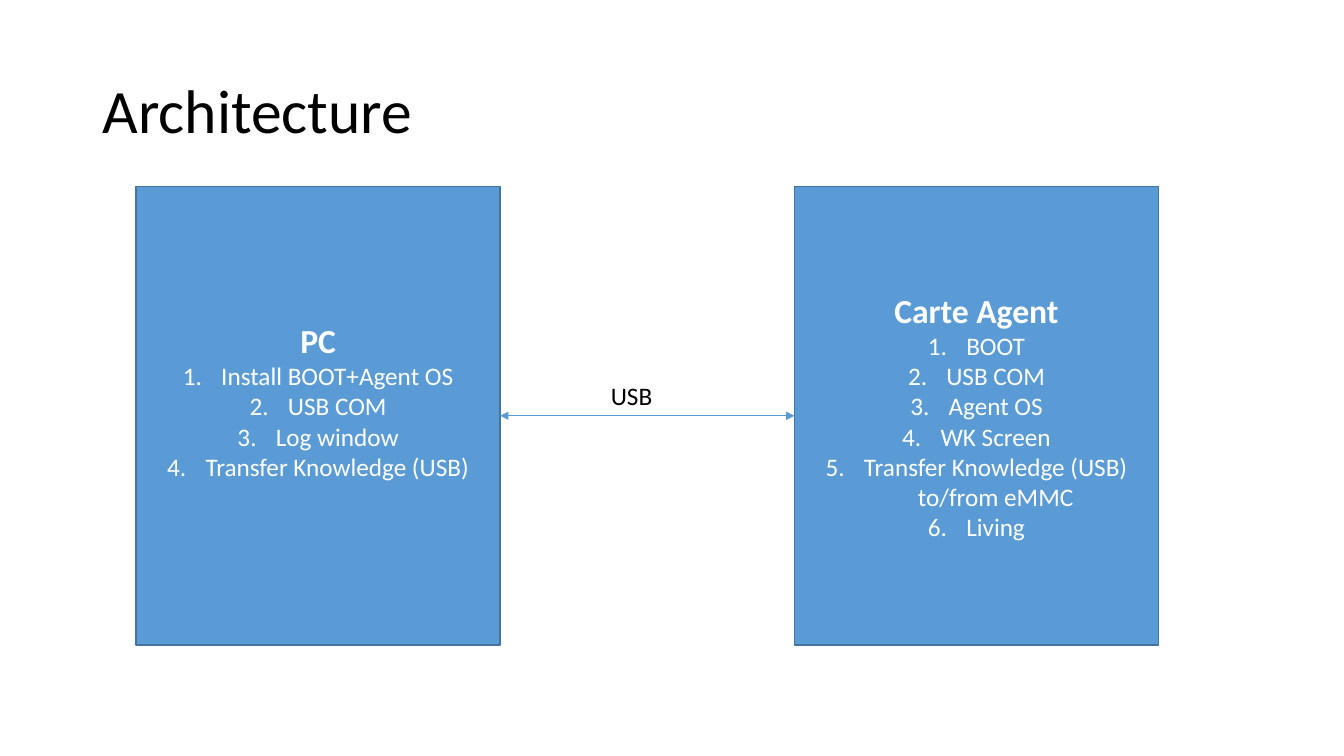
from lxml import etree
from pptx import Presentation
from pptx import util as u
from pptx.dml.color import RGBColor
from pptx.enum import shapes, text
from pptx.oxml import ns

WIDE, HIGH = u.Inches(13.33), u.Inches(7.5)
BLUE = RGBColor(0x5B, 0x9B, 0xD5)
EDGE = RGBColor(0x43, 0x73, 0x9E)
WHITE = RGBColor(255, 255, 255)
BLACK = RGBColor(0, 0, 0)
FONT = "Calibri"

LEFT, TOP = u.Inches(1.35), u.Inches(1.85)
BOX_W, BOX_H = u.Inches(3.61), u.Inches(4.55)
STEP = u.Inches(6.53)
INDENT = u.Inches(0.38)
ROW = u.Inches(0.3)

PC = ["Install BOOT+Agent OS", "USB COM", "Log window",
      "Transfer Knowledge (USB)"]
AGENT = ["BOOT", "USB COM", "Agent OS", "WK Screen",
         "Transfer Knowledge (USB) to/from eMMC", "Living"]


def style(para, size, color, bold=False):
    """Set the font of a whole paragraph."""
    font = para.font
    font.name, font.size, font.bold = FONT, u.Pt(size), bold
    font.color.rgb = color


def number(para):
    """Give a paragraph a hanging automatic number."""
    props = para._p.get_or_add_pPr()
    props.set("marL", str(INDENT))
    props.set("indent", str(-INDENT))
    mark = etree.Element(ns.qn("a:buAutoNum"), type="arabicPeriod")
    props.insert(0, mark)


def label(slide, words, size, area, wrap=True):
    """Add a one-line text box, centred vertically."""
    frame = slide.shapes.add_textbox(*map(u.Inches, area)).text_frame
    frame.word_wrap = wrap
    frame.vertical_anchor = text.MSO_ANCHOR.MIDDLE
    para = frame.paragraphs[0]
    para.text = words
    style(para, size, BLACK)
    return para


def box(slide, col, head, items, lift=0):
    """Add a box with a heading and a numbered list, raised by lift."""
    shape = slide.shapes.add_shape(
        shapes.MSO_SHAPE.RECTANGLE, LEFT + col * STEP, TOP, BOX_W, BOX_H)
    shape.shadow.inherit = False
    shape.fill.solid()
    shape.fill.fore_color.rgb = BLUE
    shape.line.color.rgb = EDGE
    shape.line.width = u.Pt(1)
    frame = shape.text_frame
    frame.word_wrap = True
    frame.vertical_anchor = text.MSO_ANCHOR.MIDDLE
    frame.margin_bottom += lift
    frame.text = "\n".join([head] + items)
    for row, para in enumerate(frame.paragraphs):
        para.alignment = text.PP_ALIGN.CENTER
        style(para, 18 if row else 24, WHITE, row == 0)
        if row:
            number(para)
    return shape


def link(slide, start, end):
    """Join two boxes with a double-headed arrow."""
    line = slide.shapes.add_connector(
        shapes.MSO_CONNECTOR.STRAIGHT, 0, 0, 0, 0)
    line.begin_connect(start, 3)
    line.end_connect(end, 1)
    line.line.color.rgb = BLUE
    line.line.width = u.Pt(0.5)
    stroke = line.line._get_or_add_ln()
    for tip in ("a:headEnd", "a:tailEnd"):
        etree.SubElement(stroke, ns.qn(tip), type="triangle")
    etree.SubElement(line._element.spPr, ns.qn("a:effectLst"))


def main():
    """Build the architecture slide."""
    deck = Presentation()
    deck.slide_width, deck.slide_height = WIDE, HIGH
    slide = deck.slides.add_slide(deck.slide_layouts[6])
    title = label(slide, "Architecture", 44, (0.92, 0.4, 11.5, 1.45))
    title.line_spacing = 0.9
    agent = box(slide, 1, "Carte Agent", AGENT)
    host = box(slide, 0, "PC", PC, lift=ROW)
    link(slide, host, agent)
    label(slide, "USB", 18, (5.96, 3.72, 0.62, 0.4), wrap=False)
    deck.save("out.pptx")


main()
